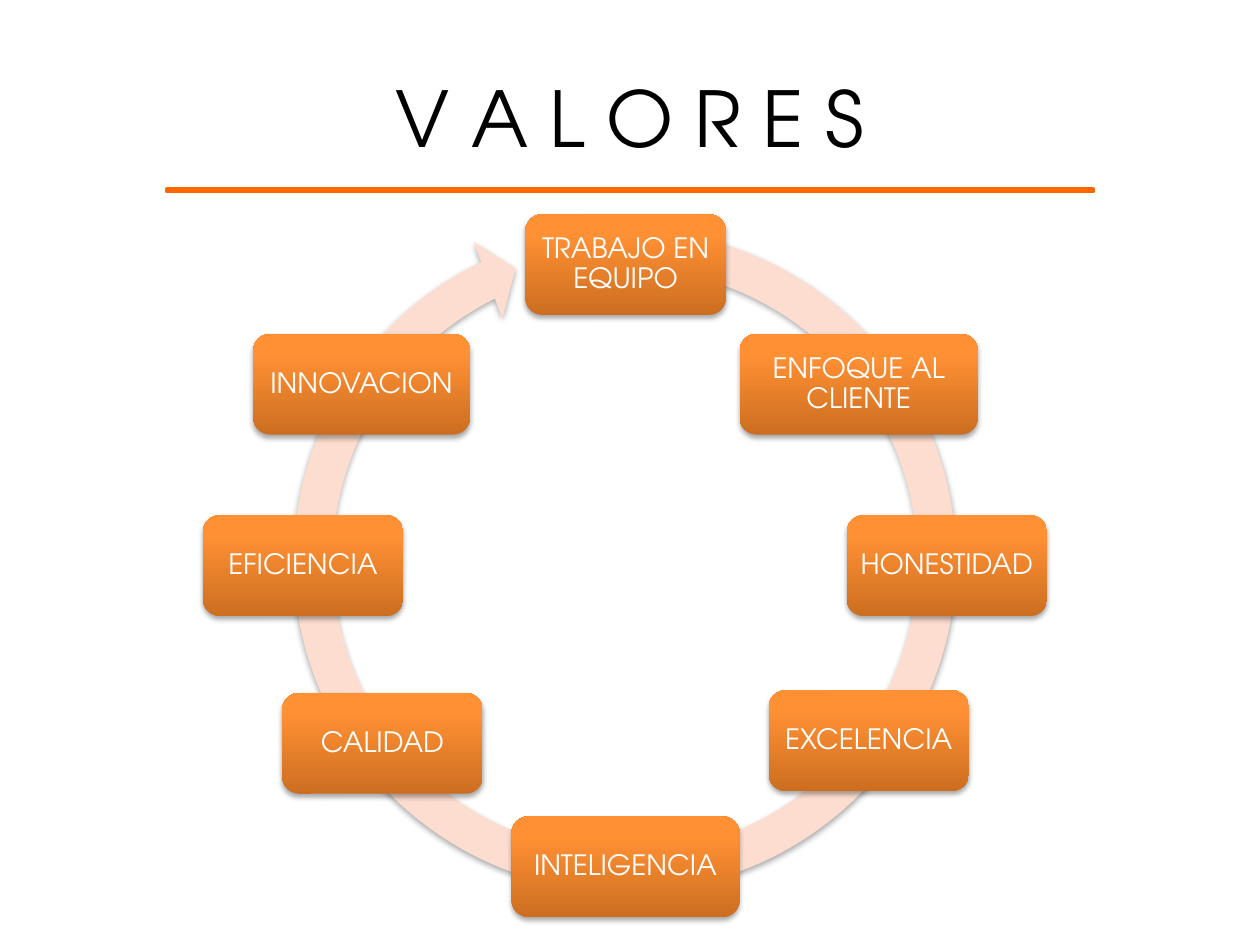
from copy import deepcopy
from dataclasses import dataclass

from lxml import etree
from pptx import Presentation
from pptx import util as u
from pptx.dml.color import RGBColor
from pptx.enum import shapes, text
from pptx.oxml import ns


@dataclass(frozen=True)
class Theme:
    font: str = "TeX Gyre Adventor"
    title_size: int = 44
    value_size: int = 16
    title_color: str = "000000"
    value_color: str = "FFFFFF"
    rule: str = "FF6600"
    ring: str = "FCDDCF"
    gradient: tuple = ((0, "CC6E20"), (0.8, "FF9034"), (1, "FF9136"))


THEME = Theme()
BOX_HEIGHT = 0.8
RING_ADJUSTMENTS = (0.055, 3.307, 146.387, 168.802, 0.058)
VALUES = (
    ("TRABAJO EN EQUIPO", 4.17, 1.7, 1.59),
    ("ENFOQUE AL CLIENTE", 5.87, 2.65, 1.89),
    ("HONESTIDAD", 6.72, 4.09, 1.59),
    ("EXCELENCIA", 6.1, 5.48, 1.59),
    ("INTELIGENCIA", 4.06, 6.48, 1.81),
    ("CALIDAD", 2.24, 5.5, 1.59),
    ("EFICIENCIA", 1.61, 4.09, 1.59),
    ("INNOVACION", 2.01, 2.65, 1.72),
)


def rgb(value):
    return RGBColor.from_string(value)


def write_text(shape, content, *, size, color, inset=0.1, line_spacing=1.0):
    frame = shape.text_frame
    frame.word_wrap = True
    frame.vertical_anchor = text.MSO_ANCHOR.MIDDLE
    frame.margin_left = frame.margin_right = u.Inches(inset)
    frame.margin_top = frame.margin_bottom = u.Inches(min(inset, 0.07))
    paragraph = frame.paragraphs[0]
    paragraph.alignment = text.PP_ALIGN.CENTER
    paragraph.line_spacing = line_spacing
    run = paragraph.add_run()
    run.text = content
    run.font.name = THEME.font
    run.font.size = u.Pt(size)
    run.font.color.rgb = rgb(color)


def add_preset(slide, kind, box, fill=None):
    shape = slide.shapes.add_shape(kind, *map(u.Inches, box))
    shape.shadow.inherit = False
    shape.line.fill.background()
    if fill:
        shape.fill.solid()
        shape.fill.fore_color.rgb = rgb(fill)
    return shape


def add_soft_shadow(shape):
    effects = shape._element.spPr.find(ns.qn("a:effectLst"))
    shadow = etree.SubElement(
        effects, ns.qn("a:outerShdw"), blurRad=str(u.Pt(3.1)),
        dist=str(u.Pt(1.8)), dir="5400000", rotWithShape="0")
    color = etree.SubElement(shadow, ns.qn("a:srgbClr"), val="000000")
    etree.SubElement(color, ns.qn("a:alpha"), val="35000")


def apply_gradient(shape):
    shape.fill.gradient()
    shape.fill.gradient_angle = 90
    stop_list = shape._element.spPr.find(".//" + ns.qn("a:gsLst"))
    stop_list.append(deepcopy(stop_list[-1]))
    for stop, (position, color) in zip(shape.fill.gradient_stops, THEME.gradient):
        stop.position = position
        stop.color.rgb = rgb(color)


def add_header(slide, left, top, width, height):
    title = slide.shapes.add_textbox(*map(u.Inches, (left, top, width, height)))
    write_text(title, "V A L O R E S", size=THEME.title_size, color=THEME.title_color)
    rule = add_preset(slide, shapes.MSO_SHAPE.MATH_MINUS,
                      (left - 0.5, top + 1.17, width + 1, 0.08), THEME.rule)
    rule.line.color.rgb = rgb(THEME.rule)
    rule.line.width = u.Pt(2)


def add_value(slide, content, left, top, width):
    shape = add_preset(slide, shapes.MSO_SHAPE.ROUNDED_RECTANGLE,
                       (left, top, width, BOX_HEIGHT))
    apply_gradient(shape)
    add_soft_shadow(shape)
    write_text(shape, content, size=THEME.value_size, color=THEME.value_color,
               inset=0.07, line_spacing=0.9)


def add_cycle(slide, left, top, size):
    ring = add_preset(slide, shapes.MSO_SHAPE.CIRCULAR_ARROW,
                      (left, top, size, size), THEME.ring)
    for index, adjustment in enumerate(RING_ADJUSTMENTS):
        ring.adjustments[index] = adjustment
    add_soft_shadow(ring)
    for content, x, y, width in VALUES:
        add_value(slide, content, left + x - 2.16, top + y - 1.65, width)


def main():
    presentation = Presentation()
    presentation.slide_width = u.Inches(10)
    presentation.slide_height = u.Inches(7.5)
    slide = presentation.slides.add_slide(presentation.slide_layouts[6])
    add_header(slide, 0.5, 0.3, 9, 1.25)
    add_cycle(slide, 2.16, 1.65, 5.6)
    presentation.save("out.pptx")


if __name__ == "__main__":
    main()
